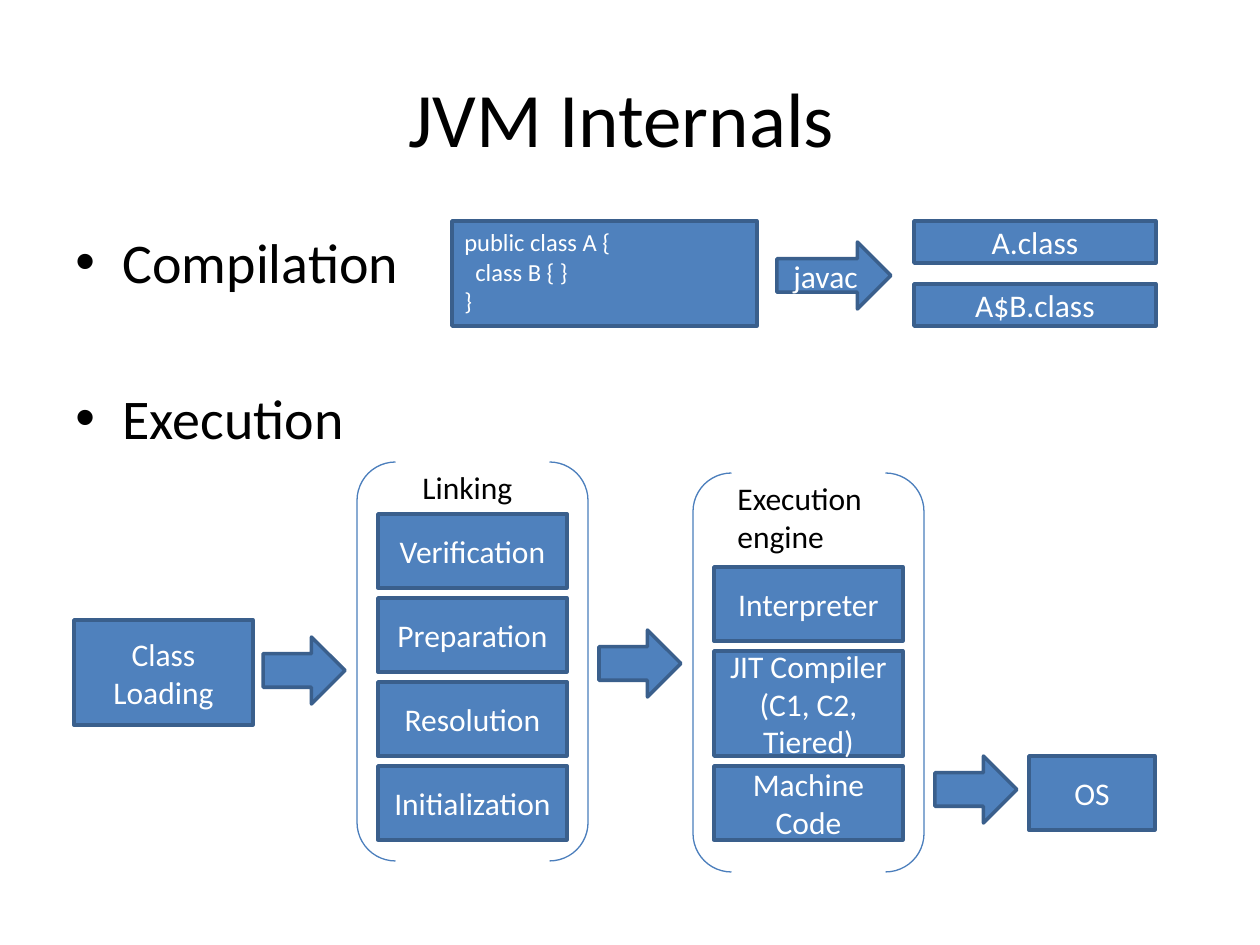
from lxml import etree
from pptx import Presentation
from pptx.dml.color import RGBColor
from pptx.enum import shapes, text
from pptx.oxml import ns
from pptx import util as u

PX = 914400 // 126
BLUE = RGBColor(0x4F, 0x81, 0xBD)
EDGE = RGBColor(0x3A, 0x5F, 0x8C)
BRACE = RGBColor(0x4B, 0x7E, 0xBC)
WHITE = RGBColor(255, 255, 255)
BLACK = RGBColor(0, 0, 0)
FONT = "Calibri"
KIND = shapes.MSO_SHAPE
MIDDLE, TOP = text.MSO_ANCHOR.MIDDLE, text.MSO_ANCHOR.TOP
CENTER, LEFT = text.PP_ALIGN.CENTER, text.PP_ALIGN.LEFT

TITLE = "JVM Internals "
TOPICS = ["Compilation", "Execution"]
TOPIC_GAP = 51  # points
CODE = ["public class A {", "class B { }", "}"]

# words, left, top, width, height in px
BOXES = [
    (["A.class"], 914, 221, 242, 42),
    (["A$B.class"], 914, 284, 242, 42),
    (["Class", "Loading"], 74, 620, 179, 105),
    (["OS"], 1029, 756, 126, 74),
]
ARROWS = [
    (["javac"], 777, 242, 114, 67),
    ([], 263, 637, 82, 67),
    ([], 599, 630, 82, 67),
    ([], 935, 756, 82, 67),
]
# heading, heading box, bracket left and top, first box top, (words, height)
STAGES = [
    (["Linking"], (410, 462, 116, 50), 357, 462, 514,
     [("Verification", 74), ("Preparation", 74),
      ("Resolution", 74), ("Initialization", 74)]),
    (["Execution", "engine"], (725, 473, 159, 89), 693, 473, 567,
     [("Interpreter", 74), ("JIT Compiler (C1, C2, Tiered)", 105),
      ("Machine Code", 74)]),
]
BRACE_W, BRACE_H = 231, 399
STEP_W, STEP_GAP = 189, 10


def place(*px):
    return [n * PX for n in px]


def write(frame, lines, size, color, align=LEFT, anchor=TOP):
    frame.vertical_anchor = anchor
    for i, line in enumerate(lines):
        para = frame.add_paragraph() if i else frame.paragraphs[0]
        para.text = line
        para.alignment = align
        font = para.font
        font.name, font.size = FONT, u.Pt(size)
        font.color.rgb = color


def draw(kind, lines, area, size=18, align=CENTER, anchor=MIDDLE):
    shape = slide.shapes.add_shape(kind, *place(*area))
    shape.shadow.inherit = False
    shape.fill.solid()
    shape.fill.fore_color.rgb = BLUE
    shape.line.color.rgb = EDGE
    shape.line.width = u.Pt(2)
    write(shape.text_frame, lines, size, WHITE, align, anchor)
    return shape


def label(lines, area, size, wrap):
    frame = slide.shapes.add_textbox(*place(*area)).text_frame
    frame.word_wrap = wrap
    write(frame, lines, size, BLACK)
    return frame


def bullet(para):
    props = para._p.get_or_add_pPr()
    props.set("marL", str(u.Pt(27)))
    props.set("indent", str(u.Pt(-27)))
    etree.SubElement(props, ns.qn("a:buFont")).set("typeface", "Arial")
    etree.SubElement(props, ns.qn("a:buChar")).set("char", "•")
    # default run properties must follow the bullet
    for rest in props.findall(ns.qn("a:defRPr")):
        props.append(rest)


def stage(heading, area, left, top, first, steps):
    brace = slide.shapes.add_shape(
        KIND.DOUBLE_BRACKET, *place(left, top, BRACE_W, BRACE_H))
    brace.shadow.inherit = False
    brace.fill.background()
    brace.line.color.rgb = BRACE
    brace.line.width = u.Pt(0.75)
    label(heading, area, 18, False)
    inset = (BRACE_W - STEP_W) // 2
    for words, tall in steps:
        draw(KIND.RECTANGLE, [words], (left + inset, first, STEP_W, tall))
        first += tall + STEP_GAP


deck = Presentation()
deck.slide_width, deck.slide_height = place(1260, 945)
slide = deck.slides.add_slide(deck.slide_layouts[5])

title = slide.shapes.title
title.left, title.top, title.width, title.height = place(63, 38, 1134, 157)
write(title.text_frame, [TITLE], 44, BLACK, CENTER, MIDDLE)

topics = label(TOPICS, (63, 221, 1134, 624), 32, True)
for para in topics.paragraphs:
    bullet(para)
topics.paragraphs[1].space_before = u.Pt(TOPIC_GAP)

code = draw(KIND.RECTANGLE, CODE, (452, 221, 305, 105), 14, LEFT, TOP)
code.text_frame.paragraphs[1]._p.get_or_add_pPr().set("marL", str(11 * PX))

for words, *area in BOXES:
    draw(KIND.RECTANGLE, words, area)
for words, *area in ARROWS:
    draw(KIND.RIGHT_ARROW, words, area)
for parts in STAGES:
    stage(*parts)

deck.save("out.pptx")
